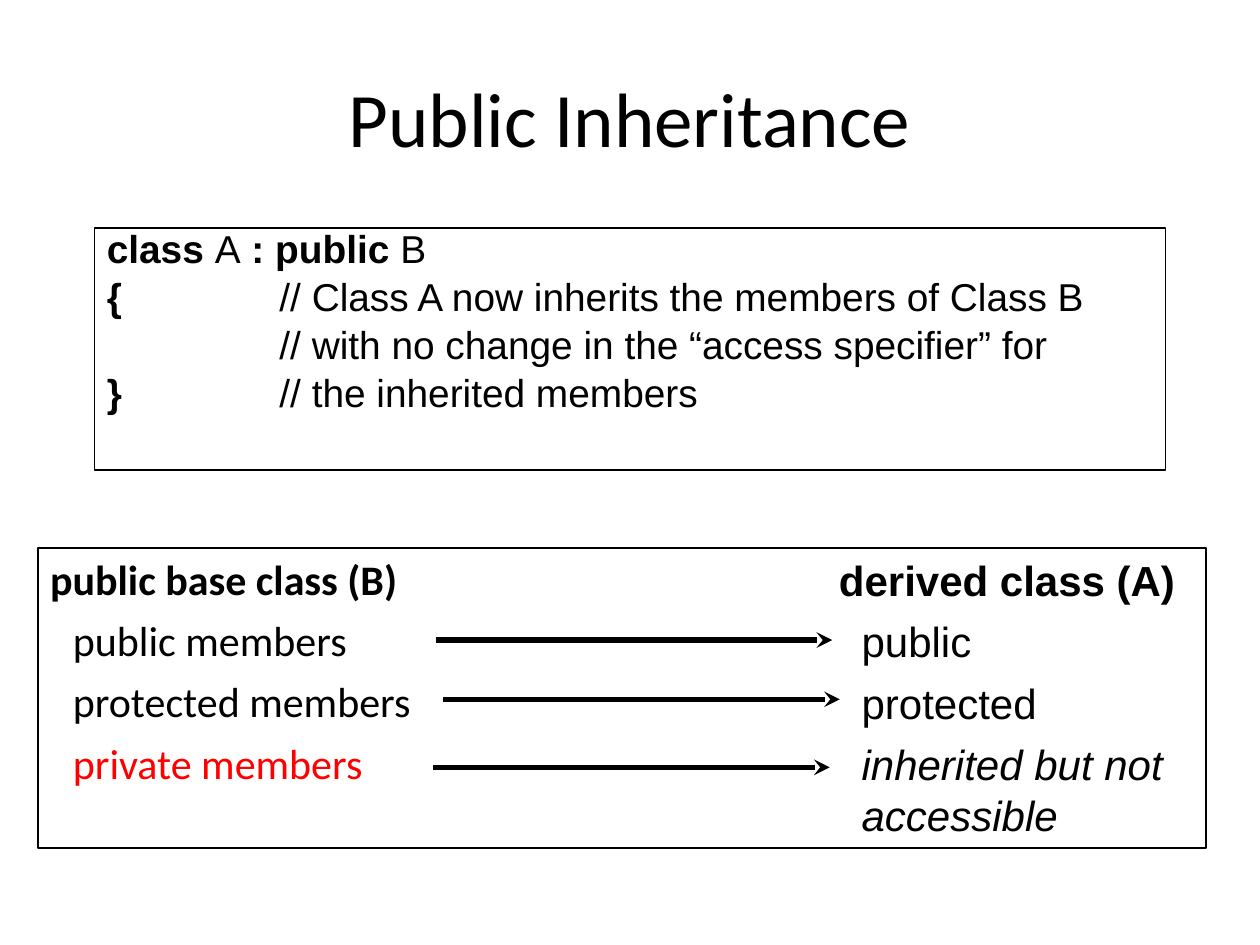
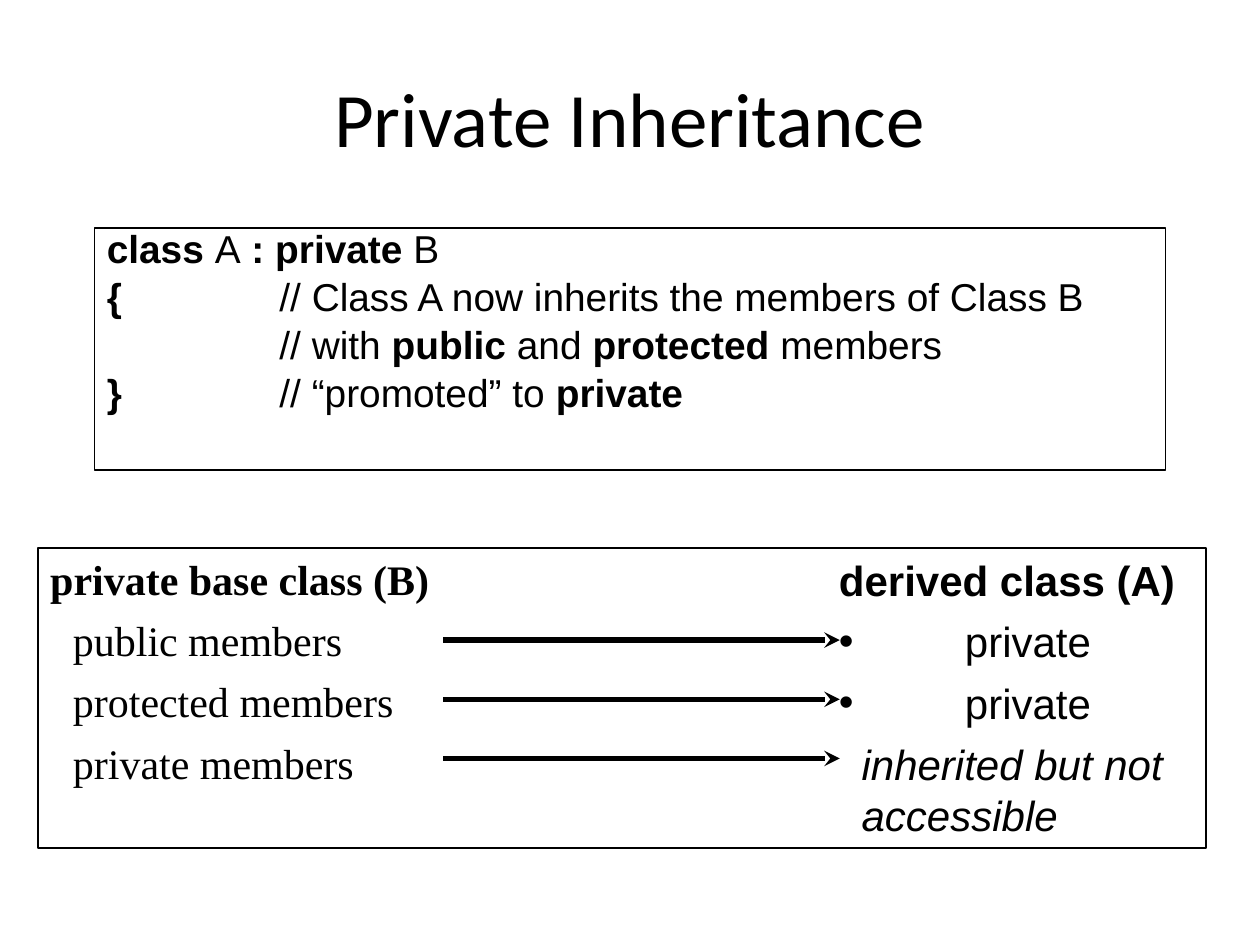
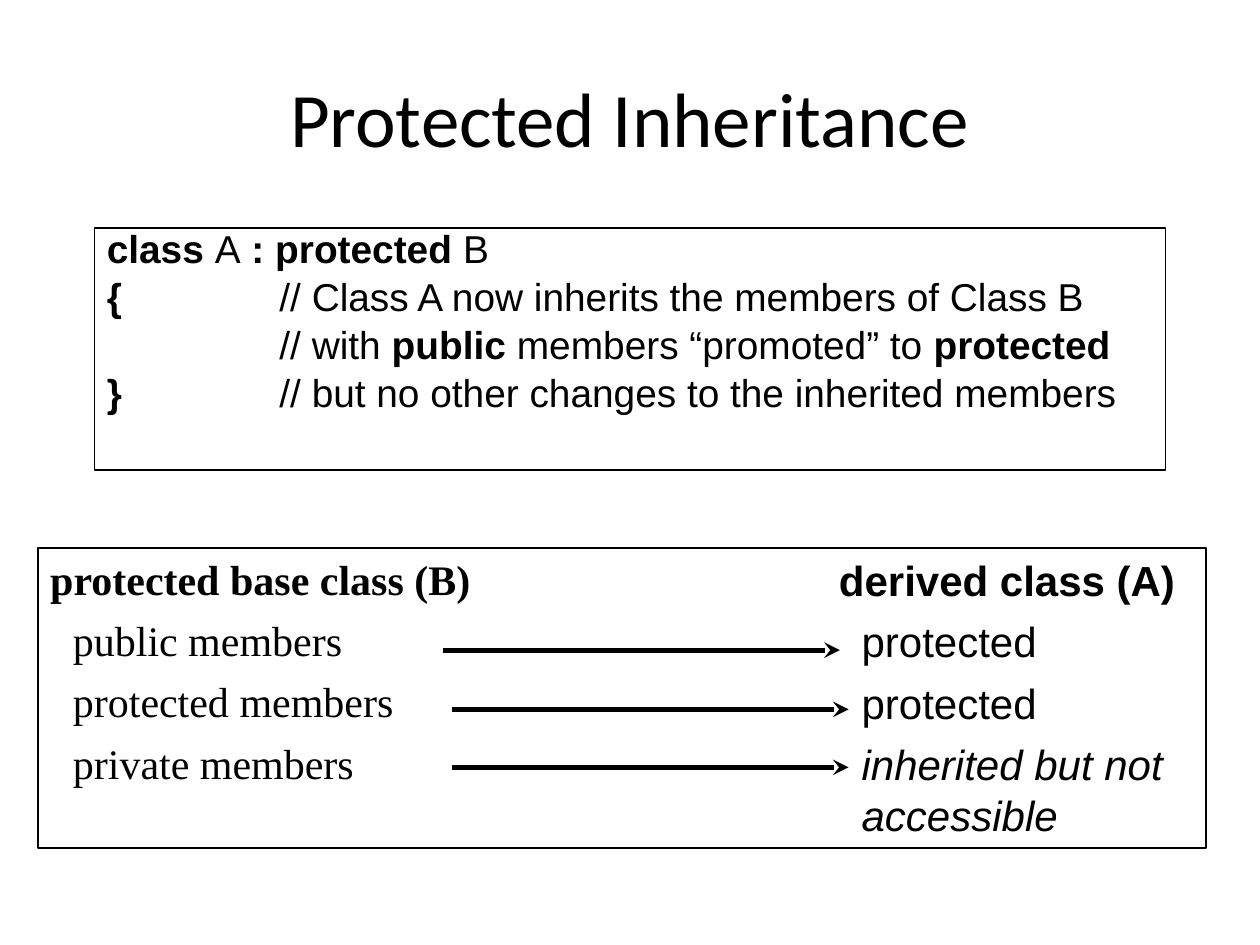
"""Build three slides on public, private and protected inheritance in C++."""
from lxml import etree
from pptx import Presentation
from pptx.dml.color import RGBColor
from pptx.enum.shapes import MSO_CONNECTOR, MSO_SHAPE
from pptx.enum.text import MSO_ANCHOR, PP_ALIGN
from pptx.oxml.ns import qn
from pptx.util import Inches, Pt

LINE, RECT = MSO_CONNECTOR.STRAIGHT, MSO_SHAPE.RECTANGLE
TOP, MIDDLE = MSO_ANCHOR.TOP, MSO_ANCHOR.MIDDLE
LEFT, CENTER = PP_ALIGN.LEFT, PP_ALIGN.CENTER

HUES = {"ink": "000000", "alert": "FF0000"}
deck = Presentation()
deck.slide_width, deck.slide_height = Inches(10), Inches(7.5)
COL, ROW = deck.slide_width / 100, deck.slide_height / 75

TITLE = {"name": "Calibri", "size": Pt(44)}
CODE = {"name": "Arial", "size": Pt(22.2)}
LIST = {"name": "Arial", "size": Pt(24)}
CODE_GAP = {"line_spacing": Pt(21.4), "space_before": Pt(6), "alignment": LEFT}
LIST_GAP = {"line_spacing": Pt(29), "space_before": Pt(6), "alignment": LEFT}
FRAMES = [((7.5, 18.1, 85, 19.2), 0.75), ((3, 43.5, 92.7, 23.8), 1)]
STEP, TAB = 1.8 * COL, 13.7 * COL
REACH = 31.45

SLIDES = [
    {"kind": "public", "font": "Calibri", "last": "alert", "wide": 36.7,
     "notes": ["// with no change in the “access specifier” for",
               "// the inherited members"],
     "gets": ["public", "protected"], "dots": False,
     "rays": [(34.6, 50.8), (35.2, 55.5), (34.4, 60.9)]},
    {"kind": "private", "font": "Times New Roman", "last": "ink", "wide": 42.1,
     "notes": ["// with *public* and *protected* members",
               "// “promoted” to *private*"],
     "gets": ["private", "private"], "dots": True,
     "rays": [(35.2, 50.8), (35.2, 55.5), (35.2, 60.2)]},
    {"kind": "protected", "font": "Times New Roman", "last": "ink", "wide": 42.1,
     "notes": ["// with *public* members “promoted” to *protected*",
               "// but no other changes to the inherited members"],
     "gets": ["protected", "protected"], "dots": False,
     "rays": [(35.2, 51.6), (35.9, 56.3), (35.9, 60.9)]},
]


def grid(x, y, *size):
    """Turn columns and rows into slide lengths."""
    return [round(n * unit) for n, unit in zip((x, y, *size), (COL, ROW) * 2)]


def write(shape, lines, font, gap, anchor=TOP):
    """Fill a shape with lines, where stars enclose bold words."""
    frame = shape.text_frame
    frame.word_wrap, frame.vertical_anchor = True, anchor
    for row, (text, more) in enumerate(lines):
        para = frame.add_paragraph() if row else frame.paragraphs[0]
        for key, val in gap.items():
            setattr(para, key, val)
        for turn, part in enumerate(text.split("*")):
            if part:
                run = para.add_run()
                run.text = part
                look = {"bold": turn % 2 == 1, **font, **more}
                run.font.color.rgb = RGBColor.from_string(HUES[look.pop("hue", "ink")])
                for key, val in look.items():
                    setattr(run.font, key, val)
    return frame.paragraphs


for page in SLIDES:
    slide = deck.slides.add_slide(deck.slide_layouts[6])
    shapes, kind = slide.shapes, page["kind"]

    title = shapes.add_textbox(*grid(5, 3, 90, 12.5))
    write(title, [(f"{kind.title()} Inheritance", {})], TITLE, {"alignment": CENTER}, MIDDLE)

    base = [(f"*{kind} base class (B)*", {}), ("public members", {}),
            ("protected members", {}), ("private members", {"hue": page["last"]})]
    heir = [("*derived class (A)*", {}), *((word, {}) for word in page["gets"]),
            ("inherited but not accessible", {"italic": True})]
    for spot, lines, face in [((3, 43.4, page["wide"], 26.6), base, page["font"]),
                              ((65.6, 43.5, 34.1, 26.5), heir, "Arial")]:
        box = shapes.add_textbox(*grid(*spot))
        paras = write(box, lines, {**LIST, "name": face}, LIST_GAP)
        for row, para in enumerate(paras[1:], 1):
            props = para._p.get_or_add_pPr()
            if page["dots"] and lines is heir and row < 3:
                props.set("marL", str(round(10 * COL)))
                props.set("indent", str(round(-10 * COL)))
                etree.SubElement(props, qn("a:buFont"), typeface="Arial")
                etree.SubElement(props, qn("a:buChar"), char="•")
            else:
                props.set("marL", str(round(STEP)))
                props.set("indent", "0")

    panels = []
    for spot, width in FRAMES:
        panel = shapes.add_shape(RECT, *grid(*spot))
        panel.shadow.inherit = False
        panel.fill.background()
        panel.line.color.rgb = RGBColor.from_string(HUES["ink"])
        panel.line.width = Pt(width)
        panels.append(panel)

    notes = ["// Class A now inherits the members of Class B", *page["notes"]]
    code = [(f"*class *A* : {kind} *B", {})]
    code += [(f"{mark}\t{note}", {}) for mark, note in zip(("*{*", "", "*}*"), notes)]
    for para in write(panels[0], code, CODE, CODE_GAP):
        stops = etree.SubElement(para._p.get_or_add_pPr(), qn("a:tabLst"))
        etree.SubElement(stops, qn("a:tab"), pos=str(round(TAB)), algn="l")

    for x, y in page["rays"]:
        ray = shapes.add_connector(LINE, *grid(x, y), *grid(x + REACH, y))
        ray.line.color.rgb = RGBColor.from_string(HUES["ink"])
        ray.line.width = Pt(3)
        etree.SubElement(ray.line._get_or_add_ln(), qn("a:tailEnd"), type="stealth")
        etree.SubElement(ray._element.spPr, qn("a:effectLst"))

deck.save("out.pptx")
